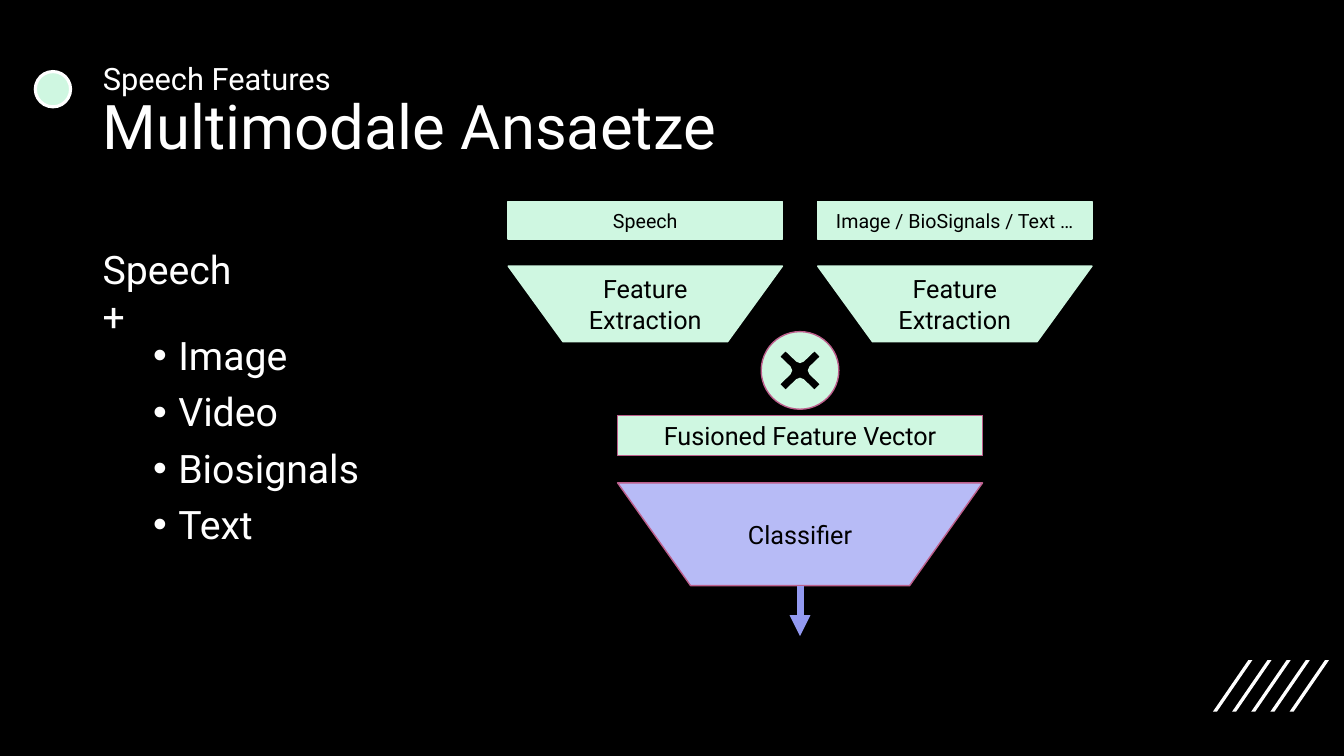
from lxml import etree
from pptx import Presentation
from pptx import util as u
from pptx.dml import color
from pptx.enum import shapes, text
from pptx.oxml import ns

COLORS = {"black": "000000", "white": "FFFFFF", "mint": "CFF7E1",
          "lilac": "B7BBF6", "violet": "939AF1", "rose": "BD5F8C"}
FONT = "Roboto"
KIND = shapes.MSO_SHAPE


def rgb(name):
    """Return the named colour."""
    return color.RGBColor.from_string(COLORS[name])


def add_span(para, words, size, ink):
    """Add one formatted run to a paragraph."""
    span = para.add_run()
    span.text = words
    span.font.name = FONT
    span.font.size = u.Pt(size)
    span.font.color.rgb = rgb(ink)


def add_break(para, size):
    """Add a line break whose height matches the given text size."""
    para.add_line_break()
    mark = para._p.findall(ns.qn("a:br"))[-1]
    etree.SubElement(mark, ns.qn("a:rPr"), sz=str(size * 100))


def add_block(page, kind, box, fill, line, weight=1, label="", size=18):
    """Draw a filled shape with an optional centred label."""
    block = page.shapes.add_shape(kind, *map(u.Inches, box))
    block.shadow.inherit = False
    block.fill.solid()
    block.fill.fore_color.rgb = rgb(fill)
    block.line.color.rgb = rgb(line)
    block.line.width = u.Pt(weight)
    if label:
        frame = block.text_frame
        frame.word_wrap = True
        frame.vertical_anchor = text.MSO_ANCHOR.MIDDLE
        para = frame.paragraphs[0]
        para.alignment = text.PP_ALIGN.CENTER
        add_span(para, label, size, "black")


def add_arrow(page, x, top, bottom):
    """Draw the downward output arrow."""
    arrow = page.shapes.add_connector(
        shapes.MSO_CONNECTOR.STRAIGHT, *map(u.Inches, (x, top, x, bottom)))
    arrow.line.color.rgb = rgb("violet")
    arrow.line.width = u.Pt(5)
    etree.SubElement(arrow.line._get_or_add_ln(), ns.qn("a:tailEnd"), type="triangle")
    etree.SubElement(arrow._element.spPr, ns.qn("a:effectLst"))


def add_stripes(page, left, top):
    """Draw the five slanted corner stripes."""
    height, slant, thick, pitch = 0.51, 0.35, 0.04, 0.19
    for index in range(5):
        x = left + index * pitch
        corners = [(x + thick, top + height), (x, top + height),
                   (x + slant, top), (x + slant + thick, top)]
        points = [(u.Inches(a), u.Inches(b)) for a, b in corners]
        builder = page.shapes.build_freeform(*points[0])
        builder.add_line_segments(points[1:], close=True)
        stripe = builder.convert_to_shape()
        stripe.shadow.inherit = False
        stripe.fill.solid()
        stripe.fill.fore_color.rgb = rgb("white")
        stripe.line.fill.background()


def add_title(page, left, top, width, height):
    """Place the two-line title and its round marker."""
    add_block(page, KIND.OVAL, (left - 0.57, top + 0.31, 0.35, 0.35),
              "mint", "white", 2.25)
    title = page.shapes.title
    title.left, title.top, title.width, title.height = map(
        u.Inches, (left, top, width, height))
    frame = title.text_frame
    frame.auto_size = text.MSO_AUTO_SIZE.NONE
    frame.vertical_anchor = text.MSO_ANCHOR.MIDDLE
    para = frame.paragraphs[0]
    para.alignment = text.PP_ALIGN.LEFT
    para.line_spacing = 0.9
    add_span(para, "Speech Features", 22, "white")
    add_break(para, 22)
    add_span(para, "Multimodale Ansaetze", 44, "white")


def add_modalities(page, left, top):
    """Write the speech heading and the bulleted modalities under it."""
    heading = page.shapes.add_textbox(*map(u.Inches, (left, top, 1.76, 0.57)))
    heading.text_frame.word_wrap = True
    para = heading.text_frame.paragraphs[0]
    add_span(para, "Speech", 28, "white")
    add_break(para, 28)
    add_span(para, "+", 28, "white")

    box = page.shapes.add_textbox(*map(u.Inches, (left + 0.5, top + 0.91, 2.51, 2.4)))
    frame = box.text_frame
    frame.word_wrap = True
    for index, item in enumerate(("Image", "Video", "Biosignals", "Text")):
        para = frame.add_paragraph() if index else frame.paragraphs[0]
        para.line_spacing = 0.9
        if index:
            para.space_before = u.Pt(10)
        props = para._p.get_or_add_pPr()
        props.set("marL", str(u.Inches(0.25)))
        props.set("indent", str(u.Inches(-0.25)))
        etree.SubElement(props, ns.qn("a:buFont"), typeface="Arial")
        etree.SubElement(props, ns.qn("a:buChar"), char="•")
        add_span(para, item, 28, "white")


def add_fusion(page, left, top):
    """Draw the two input branches, their fusion and the classifier."""
    width, pitch, core = 2.72, 3.07, 3.62
    center = left + (pitch + width) / 2
    for index, source in enumerate(("Speech", "Image / BioSignals / Text …")):
        x = left + index * pitch
        add_block(page, KIND.RECTANGLE, (x, top, width, 0.37),
                  "mint", "mint", label=source, size=14)
        add_block(page, KIND.FLOWCHART_MANUAL_OPERATION, (x, top + 0.64, width, 0.75),
                  "mint", "mint", label="Feature Extraction")
    add_block(page, KIND.RECTANGLE, (center - core / 2, top + 2.12, core, 0.4),
              "mint", "rose", label="Fusioned Feature Vector")
    add_block(page, KIND.OVAL, (center - 0.385, top + 1.29, 0.77, 0.77), "mint", "rose")
    add_block(page, KIND.MATH_MULTIPLY, (center - 0.4, top + 1.29, 0.8, 0.77),
              "black", "mint", 7.75)
    add_block(page, KIND.FLOWCHART_MANUAL_OPERATION,
              (center - core / 2, top + 2.79, core, 1.02),
              "lilac", "rose", label="Classifier")
    add_arrow(page, center, top + 3.81, top + 4.31)


def main():
    """Build and save the slide."""
    deck = Presentation()
    deck.slide_width, deck.slide_height = u.Inches(13.33), u.Inches(7.5)
    page = deck.slides.add_slide(deck.slide_layouts[5])
    page.background.fill.solid()
    page.background.fill.fore_color.rgb = rgb("black")
    add_stripes(page, 12.03, 6.55)
    add_title(page, 0.92, 0.4, 11.5, 1.45)
    add_modalities(page, 0.92, 2.38)
    add_fusion(page, 5.04, 2)
    deck.save("out.pptx")


if __name__ == "__main__":
    main()
